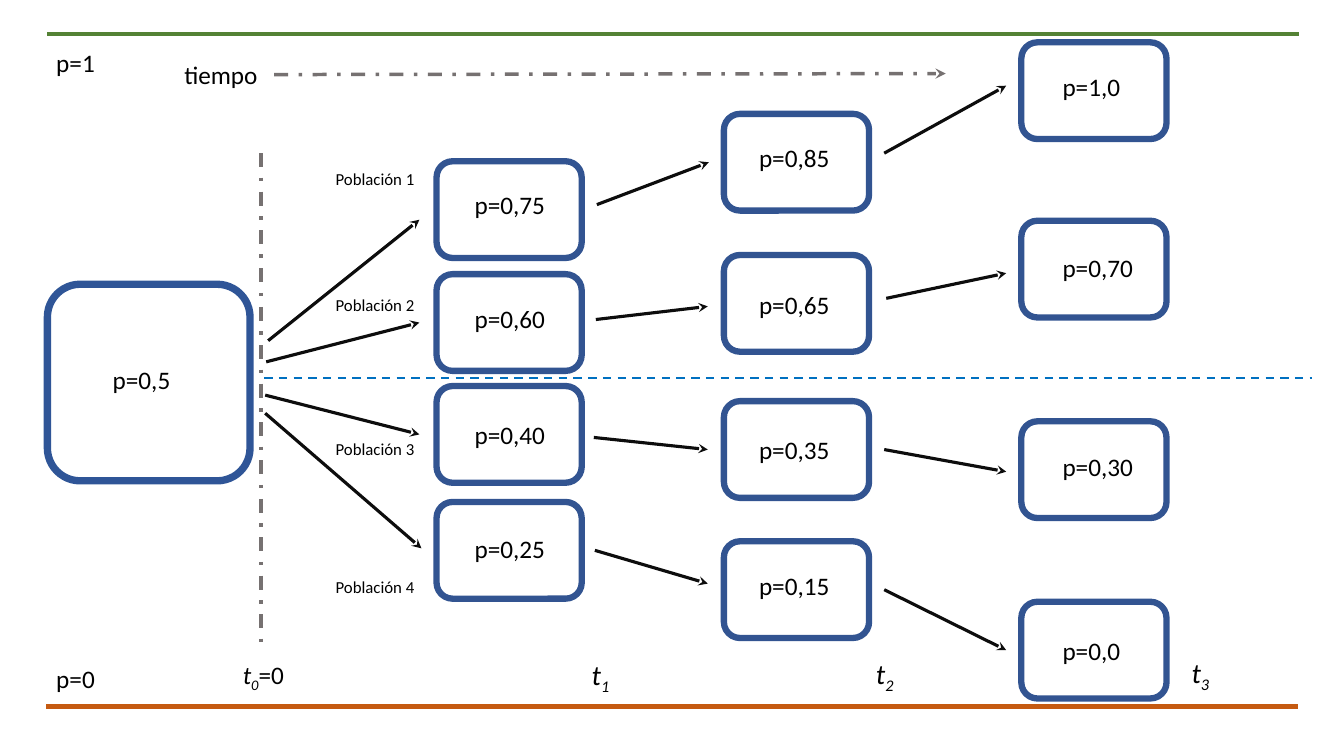
from dataclasses import dataclass

from lxml.etree import SubElement
from pptx import Presentation
from pptx.dml.color import RGBColor as Rgb
from pptx.enum.dml import MSO_LINE as Dash
from pptx.enum.shapes import MSO_CONNECTOR as Link, MSO_SHAPE as Shape
from pptx.enum.text import MSO_AUTO_SIZE as Fit
from pptx.oxml.ns import qn
from pptx.util import Inches, Pt


@dataclass(frozen=True)
class Theme:
    """Colours, font and type sizes of the slide."""
    font: str = "Calibri"
    ink: str = "000000"
    start: str = "2F5597"
    box: str = "325491"
    arrow: str = "0D0D0D"
    time: str = "767171"
    top: str = "548235"
    base: str = "C55A11"
    mid: str = "0070C0"
    small: int = 12
    body: int = 18
    large: int = 20


THEME = Theme()

# Left of boxes, left of values, then (box top, value top, value) per row
STAGES = [
    (4.33, 4.61, [(1.6, 1.83, "0,75"), (2.72, 2.96, "0,60"),
                  (3.83, 4.11, "0,40"), (4.98, 5.24, "0,25")]),
    (7.18, 7.43, [(1.13, 1.36, "0,85"), (2.53, 2.82, "0,65"),
                  (3.98, 4.26, "0,35"), (5.37, 5.61, "0,15")]),
    (10.13, 10.44, [(0.42, 0.66, "1,0"), (2.19, 2.45, "0,70"),
                    (4.18, 4.43, "0,30"), (5.97, 6.25, "0,0")]),
]

# Start and end points of the arrows, stage by stage
ARROWS = [
    (2.66, 3.38, 4.16, 2.18), (2.64, 3.59, 4.16, 3.2),
    (2.63, 3.92, 4.16, 4.31), (2.63, 4.1, 4.18, 5.44),
    (5.92, 2.03, 7.03, 1.61), (5.91, 3.17, 7.02, 3.04),
    (5.89, 4.34, 7.02, 4.46), (5.9, 5.46, 7.02, 5.79),
    (8.77, 1.52, 9.98, 0.85), (8.79, 2.96, 9.98, 2.71),
    (8.77, 4.46, 9.98, 4.68), (8.77, 5.85, 9.98, 6.45),
]


def add_box(slide, left, top, width, height, color, weight):
    """Add an unfilled rounded box."""
    box = slide.shapes.add_shape(Shape.ROUNDED_RECTANGLE, Inches(left),
                                 Inches(top), Inches(width), Inches(height))
    box.shadow.inherit = False
    box.fill.background()
    box.line.color.rgb = Rgb.from_string(color)
    box.line.width = Pt(weight)


def add_line(slide, ends, color, weight, dash=None, arrow=False):
    """Add a straight line, with a stealth head if it is an arrow."""
    line = slide.shapes.add_connector(Link.STRAIGHT, *map(Inches, ends))
    line.line.color.rgb = Rgb.from_string(color)
    line.line.width = Pt(weight)
    if dash:
        line.line.dash_style = dash
    props = line._element.spPr
    if arrow:
        SubElement(props.find(qn("a:ln")), qn("a:tailEnd"), type="stealth")
    SubElement(props, qn("a:effectLst"))


def add_run(para, text, size, italic=False, sub=False):
    """Add one run, set as a subscript on request."""
    run = para.add_run()
    run.text = text
    font = run.font
    font.name, font.size = THEME.font, Pt(size)
    font.color.rgb = Rgb.from_string(THEME.ink)
    if italic:
        font.italic = True
    if sub:
        run._r.get_or_add_rPr().set("baseline", "-25000")


def add_text(slide, left, top, width, height, size, wrap=True):
    """Add an empty text box and return its paragraph and type size."""
    label = slide.shapes.add_textbox(Inches(left), Inches(top),
                                     Inches(width), Inches(height))
    frame = label.text_frame
    frame.word_wrap = wrap
    frame.auto_size = Fit.SHAPE_TO_FIT_TEXT
    return frame.paragraphs[0], size


def add_value(slide, left, top, value):
    """Add the label of a frequency p."""
    para, size = add_text(slide, left, top, 1.16, 0.4, THEME.body)
    add_run(para, f"p={value}", size)


def add_time(slide, left, top, height, index, size, tail=""):
    """Add a time label: t with its index, then plain text."""
    para, size = add_text(slide, left, top, 0.94, height, size)
    add_run(para, "t", size, italic=True)
    add_run(para, index, size, italic=True, sub=True)
    if tail:
        add_run(para, tail, size)


def add_stages(slide):
    """Add the start box and the four populations at each later time."""
    add_box(slide, 0.47, 2.82, 2.01, 1.95, THEME.start, 5.25)
    add_value(slide, 1.02, 3.57, "0,5")
    for left, inner, rows in STAGES:
        for top, level, value in rows:
            add_box(slide, left, top, 1.44, 0.96, THEME.box, 4.5)
            add_value(slide, inner, level, value)
    for ends in ARROWS:
        add_line(slide, ends, THEME.arrow, 2.25, arrow=True)
    for number, top in enumerate((1.62, 2.87, 4.3, 5.67), 1):
        para, size = add_text(slide, 3.23, top, 0.99, 0.3, THEME.small, False)
        add_run(para, f"Población {number}", size)


def add_frame(slide):
    """Add the limits p=1 and p=0 and the middle line."""
    add_line(slide, (0.47, 0.34, 12.88, 0.34), THEME.top, 3)
    add_line(slide, (0.46, 7.01, 12.87, 7.01), THEME.base, 3)
    add_line(slide, (2.62, 3.75, 13.01, 3.75), THEME.mid, 1.5, Dash.DASH)
    add_value(slide, 0.46, 0.42, "1")
    add_value(slide, 0.46, 6.53, "0")


def add_times(slide):
    """Add the time arrow, the start line and the time labels."""
    para, size = add_text(slide, 1.73, 0.54, 0.94, 0.4, THEME.body)
    add_run(para, "tiempo", size)
    add_line(slide, (2.72, 0.74, 9.38, 0.73), THEME.time, 2.5,
             Dash.DASH_DOT, arrow=True)
    add_line(slide, (2.59, 1.52, 2.59, 6.45), THEME.time, 2.5, Dash.DASH_DOT)
    add_time(slide, 2.31, 6.49, 0.4, "0", THEME.body, "=0")
    for index, left, top in (("1", 5.77, 6.47), ("2", 8.59, 6.46),
                             ("3", 11.72, 6.45)):
        add_time(slide, left, top, 0.44, index, THEME.large)


def main():
    """Build the slide and save it."""
    deck = Presentation()
    deck.slide_width, deck.slide_height = Inches(13.33), Inches(7.5)
    slide = deck.slides.add_slide(deck.slide_layouts[6])
    add_frame(slide)
    add_stages(slide)
    add_times(slide)
    deck.save("out.pptx")


main()
